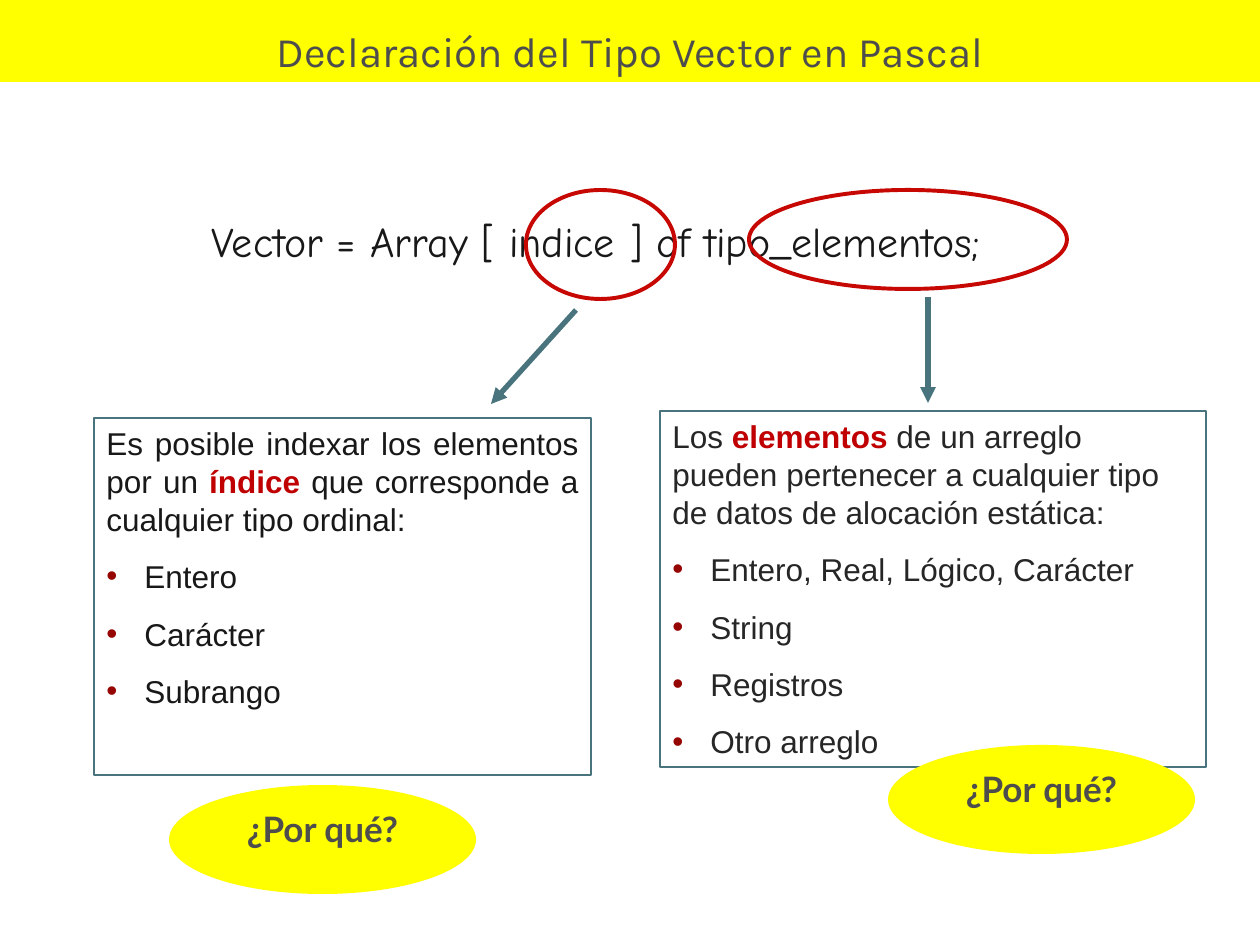
from lxml.etree import SubElement
from pptx import Presentation
from pptx.dml.color import RGBColor
from pptx.enum.shapes import MSO_CONNECTOR as Connector, MSO_SHAPE as Shape
from pptx.enum.text import MSO_ANCHOR as Anchor, MSO_AUTO_SIZE as AutoSize, PP_ALIGN as Align
from pptx.oxml.ns import qn
from pptx.util import Pt

PX = 914400 / 126
YELLOW, GREY, TEAL, RED = "FFFF00", "4D4D4D", "49747D", "C60702"
INK, SOFT_INK, ACCENT, BULLET = "181818", "262626", "C00000", "950502"


def px(value):
    return round(value * PX)


def color(value):
    return RGBColor.from_string(value)


def add_box(page, kind, left, top, width, height, fill=None, line=None, weight=0.75):
    box = page.shapes.add_shape(kind, px(left), px(top), px(width), px(height))
    box.shadow.inherit = False
    if fill:
        box.fill.solid()
        box.fill.fore_color.rgb = color(fill)
    else:
        box.fill.background()
    if line:
        box.line.color.rgb = color(line)
        box.line.width = Pt(weight)
    else:
        box.line.fill.background()
    box.text_frame.word_wrap = True
    box.text_frame.vertical_anchor = Anchor.TOP
    return box


def add_span(para, text, font, size, ink, bold=False):
    span = para.add_run()
    span.text = text
    span.font.name = font
    span.font.size = Pt(size)
    span.font.bold = bold
    span.font.color.rgb = color(ink)


def add_bullet(para, indent):
    props = para._p.get_or_add_pPr()
    props.set("marL", str(px(indent)))
    props.set("indent", str(-px(indent)))
    tint = SubElement(props, qn("a:buClr"))
    SubElement(tint, qn("a:srgbClr"), val=BULLET)
    SubElement(props, qn("a:buFont"), typeface="Arial")
    SubElement(props, qn("a:buChar"), char="•")


def add_arrow(page, start, end):
    arrow = page.shapes.add_connector(Connector.STRAIGHT, *map(px, start + end))
    arrow.line.color.rgb = color(TEAL)
    arrow.line.width = Pt(3)
    SubElement(arrow.line._get_or_add_ln(), qn("a:tailEnd"), type="triangle")
    SubElement(arrow._element.spPr, qn("a:effectLst"))


def add_title(page, left, top, width, height):
    title = page.shapes.title
    title.left, title.top, title.width, title.height = map(px, (left, top, width, height))
    title.fill.solid()
    title.fill.fore_color.rgb = color(YELLOW)
    frame = title.text_frame
    frame.auto_size = AutoSize.NONE
    frame.vertical_anchor = Anchor.BOTTOM
    para = frame.paragraphs[0]
    para.alignment = Align.CENTER
    add_span(para, "Declaración del Tipo Vector en Pascal", "Karla", 24, GREY)


def add_declaration(page, left, top, width, height):
    box = add_box(page, Shape.RECTANGLE, left, top, width, height, fill="FFFFFF")
    box.text_frame.margin_left = px(68)
    para = box.text_frame.paragraphs[0]
    para.alignment = Align.LEFT
    add_span(para, "Vector = Array [ indice ] of tipo_elementos;", "Comic Neue", 24, INK)


def add_explanation(page, left, top, width, height, spans, items, ink, align):
    box = add_box(page, Shape.RECTANGLE, left, top, width, height, line=TEAL)
    frame = box.text_frame
    intro = frame.paragraphs[0]
    intro.alignment = align
    for text, strong in spans:
        add_span(intro, text, "Arial", 18, ACCENT if strong else ink, strong)
    for item in items:
        para = frame.add_paragraph()
        add_bullet(para, 38)
        para.alignment = align
        para.space_before = Pt(11.2)
        add_span(para, item, "Arial", 18, ink)


def add_question(page, left, top, width, height):
    box = add_box(page, Shape.OVAL, left, top, width, height, fill=YELLOW)
    para = box.text_frame.paragraphs[0]
    para.alignment = Align.CENTER
    add_span(para, "¿Por qué?", "Lato", 20, GREY, True)


def main():
    deck = Presentation()
    deck.slide_width, deck.slide_height = px(1260), px(945)
    page = deck.slides.add_slide(deck.slide_layouts[5])
    add_title(page, 0, -1, 1260, 83)
    add_declaration(page, 144, 209, 1022, 63)

    add_explanation(
        page, 94, 418, 497, 357,
        [("Es posible indexar los elementos por un ", False), ("índice", True),
         (" que corresponde a cualquier tipo ordinal:", False)],
        ["Entero", "Carácter", "Subrango"], INK, Align.JUSTIFY)
    add_box(page, Shape.OVAL, 526, 190, 149, 109, line=RED, weight=2.25)
    add_arrow(page, (576, 310), (491, 404))

    add_explanation(
        page, 660, 411, 546, 356,
        [("Los ", False), ("elementos", True),
         (" de un arreglo pueden pertenecer a cualquier tipo de datos de alocación estática:", False)],
        ["Entero, Real, Lógico, Carácter", "String", "Registros", "Otro arreglo"], SOFT_INK, Align.LEFT)
    add_box(page, Shape.OVAL, 749, 190, 318, 99, line=RED, weight=2.25)
    add_arrow(page, (928, 297), (928, 403))

    for left, top in ((169, 785), (888, 745)):
        add_question(page, left, top, 307, 109)
    deck.save("out.pptx")


if __name__ == "__main__":
    main()
